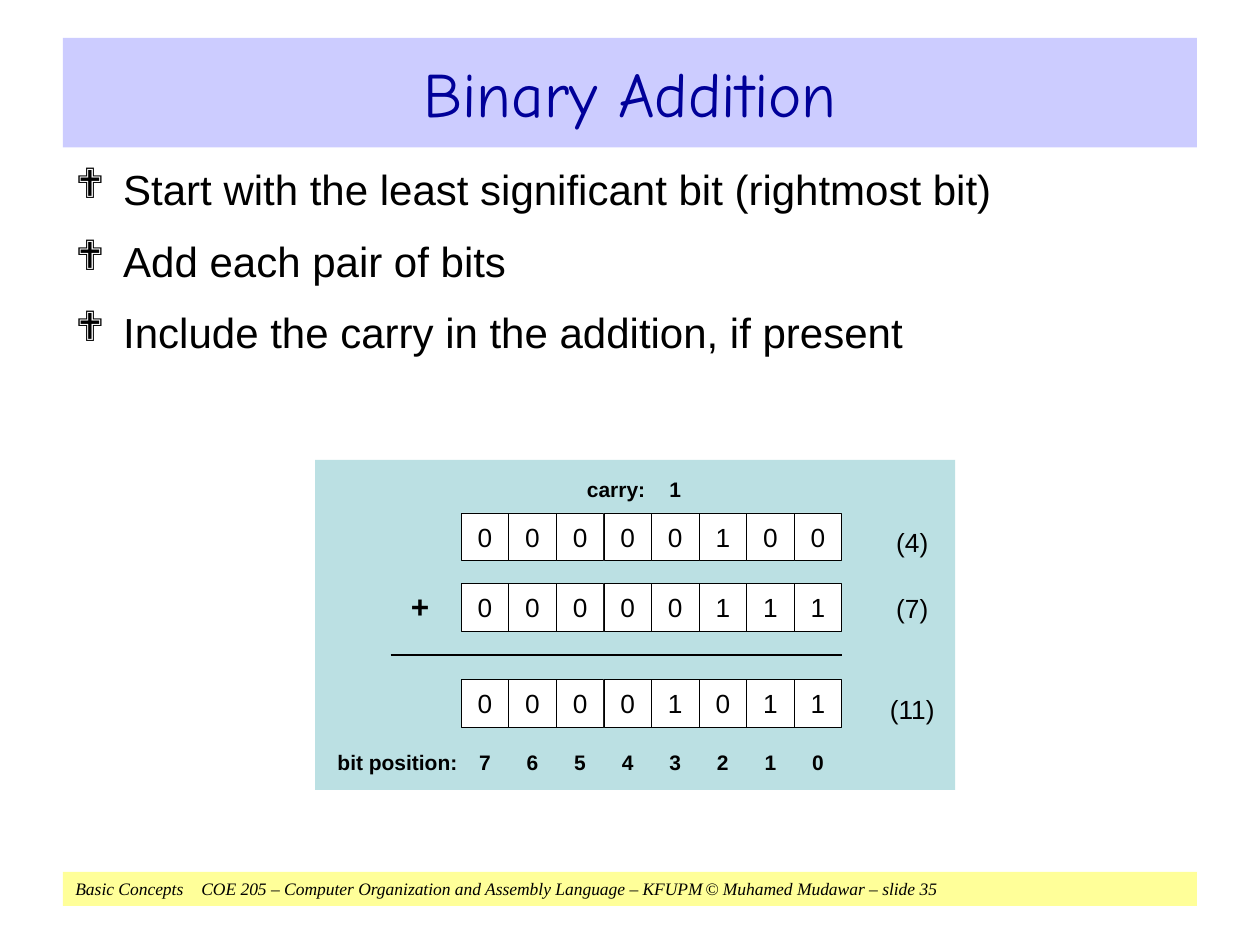
from lxml.etree import SubElement
from pptx import Presentation
from pptx.dml.color import RGBColor
from pptx.enum.shapes import MSO_CONNECTOR, MSO_SHAPE
from pptx.enum.text import MSO_ANCHOR, PP_ALIGN
from pptx.oxml.ns import qn
from pptx.util import Inches, Pt

COLOURS = {
    "black": "000000",
    "white": "FFFFFF",
    "title": "000099",
    "title_band": "CCCCFF",
    "panel": "BBE0E3",
    "footer_band": "FFFF99",
}
STEPS = [
    "Start with the least significant bit (rightmost bit)",
    "Add each pair of bits",
    "Include the carry in the addition, if present",
]
BINARY_ROWS = [("00000100", 0.42), ("00000111", 0.98), ("00001011", 1.74)]
DECIMALS = [("(4)", 0.53), ("(7)", 1.05), ("(11)", 1.85)]
FOOTER = ("Basic Concepts\tCOE 205 – Computer Organization and Assembly Language"
          " – KFUPM\t© Muhamed Mudawar – slide 35")


def colour(name):
    """Return the named colour."""
    return RGBColor.from_string(COLOURS[name])


def style(paragraph, size, font="Arial", ink="black", bold=False, italic=False):
    """Format every run of a paragraph."""
    for run in paragraph.runs:
        run.font.size = Pt(size)
        run.font.name = font
        run.font.bold = bold
        run.font.italic = italic
        run.font.color.rgb = colour(ink)


def add_block(shapes, box, fill, outline=None):
    """Add a flat filled rectangle, outlined if a width is given."""
    block = shapes.add_shape(MSO_SHAPE.RECTANGLE, *box)
    block.shadow.inherit = False
    block.fill.solid()
    block.fill.fore_color.rgb = colour(fill)
    if outline is None:
        block.line.fill.background()
    else:
        block.line.color.rgb = colour("black")
        block.line.width = Pt(outline)
    return block


def clear_margins(frame):
    """Remove the inner margins and centre the text vertically."""
    frame.margin_left = frame.margin_right = 0
    frame.margin_top = frame.margin_bottom = 0
    frame.vertical_anchor = MSO_ANCHOR.MIDDLE


def add_label(shapes, box, text, size, bold=False):
    """Add a one-line label centred in its box."""
    frame = shapes.add_textbox(*box).text_frame
    clear_margins(frame)
    frame.word_wrap = False
    label = frame.paragraphs[0]
    label.text = text
    label.alignment = PP_ALIGN.CENTER
    style(label, size, bold=bold)


def add_title(slide, box):
    """Place the title band."""
    frame = add_block(slide.shapes, box, "title_band").text_frame
    frame.vertical_anchor = MSO_ANCHOR.MIDDLE
    heading = frame.paragraphs[0]
    heading.text = "Binary Addition"
    heading.alignment = PP_ALIGN.CENTER
    style(heading, 36, "Comic Neue", "title")


def add_steps(slide, box):
    """Place the bulleted steps."""
    frame = slide.shapes.add_textbox(*box).text_frame
    frame.word_wrap = True
    frame.text = "\n".join(STEPS)
    for index, step in enumerate(frame.paragraphs):
        properties = step._p.get_or_add_pPr()
        properties.set("marL", str(Inches(0.38)))
        properties.set("indent", str(Inches(-0.38)))
        SubElement(properties, qn("a:buFont"), typeface="Wingdings", charset="2")
        SubElement(properties, qn("a:buChar"), char="❖")
        if index:
            step.space_before = Pt(12)
        style(step, 24)


def add_sum(slide, box):
    """Place the worked addition as one group."""
    left, top, width, height = box
    shapes = slide.shapes.add_group_shape().shapes
    add_block(shapes, box, "panel")
    row_left, row_width = left + Inches(1.16), Inches(3.02)
    cell_width, cell_height = row_width // 8, Inches(0.38)
    columns = [row_left + i * cell_width for i in range(8)]

    for bits, row_top in BINARY_ROWS:
        for column, bit in zip(columns, bits):
            cell_box = (column, top + Inches(row_top), cell_width, cell_height)
            cell = add_block(shapes, cell_box, "white", 0.37)
            clear_margins(cell.text_frame)
            digit = cell.text_frame.paragraphs[0]
            digit.text = bit
            digit.alignment = PP_ALIGN.CENTER
            style(digit, 15)

    for value, value_top in DECIMALS:
        value_box = (left + Inches(4.54), top + Inches(value_top), Inches(0.4), Inches(0.25))
        add_label(shapes, value_box, value, 15)

    carry_top, position_top, small = top + Inches(0.13), top + Inches(2.3), Inches(0.2)
    add_label(shapes, (left + Inches(2.1), carry_top, Inches(0.58), small), "carry:", 12, True)
    add_label(shapes, (columns[4], carry_top, cell_width, small), "1", 12, True)
    add_label(shapes, (left + Inches(0.11), position_top, Inches(1.09), small),
              "bit position:", 12, True)
    for position, column in zip("76543210", columns):
        add_label(shapes, (column, position_top, cell_width, small), position, 12, True)

    plus_box = (left + Inches(0.71), top + Inches(1.01), Inches(0.25), Inches(0.3))
    add_label(shapes, plus_box, "+", 18, True)
    rule_top = top + Inches(1.55)
    sum_rule = shapes.add_connector(MSO_CONNECTOR.STRAIGHT, left + Inches(0.6), rule_top,
                                    row_left + row_width, rule_top)
    sum_rule.line.color.rgb = colour("black")
    sum_rule.line.width = Pt(1.13)
    SubElement(sum_rule._element.spPr, qn("a:effectLst"))


def add_footer(slide, box):
    """Place the footer band with its tabbed line."""
    frame = add_block(slide.shapes, box, "footer_band").text_frame
    frame.margin_top = frame.margin_bottom = 0
    frame.vertical_anchor = MSO_ANCHOR.MIDDLE
    credit = frame.paragraphs[0]
    credit.text = FOOTER
    credit.alignment = PP_ALIGN.LEFT
    stops = SubElement(credit._p.get_or_add_pPr(), qn("a:tabLst"))
    for stop in (1, 5):
        SubElement(stops, qn("a:tab"), pos=str(Inches(stop)), algn="l")
    style(credit, 10, "Times New Roman", italic=True)


def main():
    """Build and save the slide."""
    deck = Presentation()
    deck.slide_width, deck.slide_height = Inches(10), Inches(7.5)
    slide = deck.slides.add_slide(deck.slide_layouts[6])
    margin, width = Inches(0.5), Inches(9)
    add_footer(slide, (margin, Inches(6.92), width, Inches(0.27)))
    add_title(slide, (margin, Inches(0.3), width, Inches(0.87)))
    add_steps(slide, (margin, Inches(1.25), width, Inches(2.19)))
    add_sum(slide, (Inches(2.5), Inches(3.65), Inches(5.08), Inches(2.62)))
    deck.save("out.pptx")


if __name__ == "__main__":
    main()
